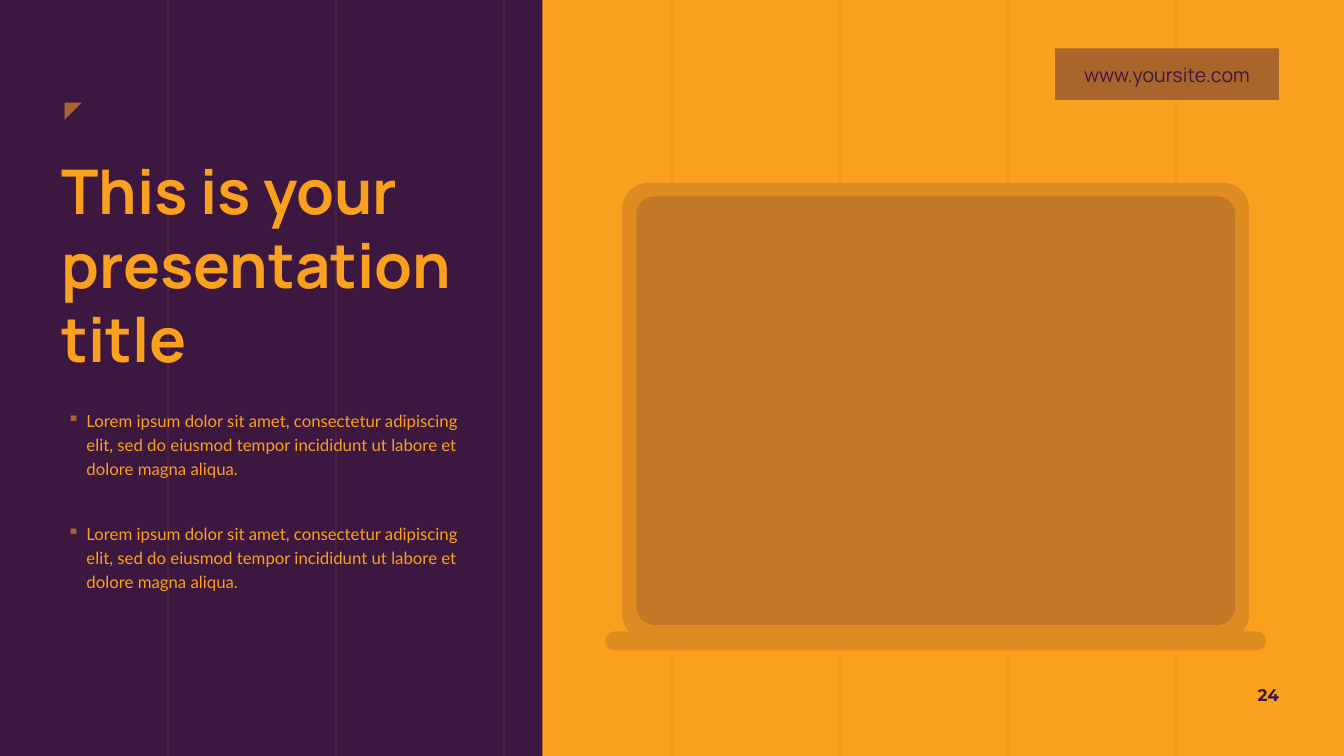
"""Build the laptop mockup slide with a title, two bullets and a site label."""
import pptx
import pptx.dml.color
import pptx.enum.shapes
import pptx.enum.text
import pptx.oxml
import pptx.oxml.ns
import pptx.util
from lxml import etree

Cm, Pt = pptx.util.Cm, pptx.util.Pt
RGBColor = pptx.dml.color.RGBColor
SHAPE = pptx.enum.shapes.MSO_SHAPE
ALIGN = pptx.enum.text.PP_ALIGN
MIDDLE = pptx.enum.text.MSO_ANCHOR.MIDDLE
qn = pptx.oxml.ns.qn

PURPLE = RGBColor(0x3C, 0x17, 0x40)
ORANGE = RGBColor(0xF9, 0xA0, 0x1E)
AMBER = RGBColor(0xDE, 0x8C, 0x22)
COPPER = RGBColor(0xC3, 0x78, 0x27)
BROWN = RGBColor(0xA8, 0x65, 0x2C)

LOREM = ("Lorem ipsum dolor sit amet, consectetur adipiscing elit, sed do eiusmod "
         "tempor incididunt ut labore et dolore magna aliqua.")
WIDTH, HEIGHT = 33.87, 19.05
COLUMNS = 8

deck = pptx.Presentation()
deck.slide_width, deck.slide_height = Cm(WIDTH), Cm(HEIGHT)
slide = deck.slides.add_slide(deck.slide_layouts[6])
slide.background.fill.solid()
slide.background.fill.fore_color.rgb = PURPLE


def add_block(kind, box, color, corner=None):
    block = slide.shapes.add_shape(kind, *map(Cm, box))
    block.shadow.inherit = False
    block.fill.solid()
    block.fill.fore_color.rgb = color
    block.line.fill.background()
    if corner is not None:
        block.adjustments[0] = corner
    return block


def write(holder, texts, font, size, color, bold=False, **layout):
    frame = holder.text_frame
    frame.word_wrap = True
    for name, value in layout.items():
        setattr(frame, name, value)
    for index, text in enumerate(texts):
        paragraph = frame.paragraphs[0] if index == 0 else frame.add_paragraph()
        run = paragraph.add_run()
        run.text = text
        looks = {"name": font, "size": Pt(size), "bold": bold}
        for name, value in looks.items():
            setattr(run.font, name, value)
        run.font.color.rgb = color
    return frame.paragraphs


add_block(SHAPE.RECTANGLE, (13.67, 0, WIDTH - 13.67, HEIGHT), ORANGE)

for column in range(1, COLUMNS):
    x = Cm(WIDTH / COLUMNS * column)
    guide = slide.shapes.add_connector(
        pptx.enum.shapes.MSO_CONNECTOR.STRAIGHT, x, 0, x, Cm(HEIGHT))
    guide.line.width = Pt(1.5)
    guide.line.color.rgb = COPPER
    properties = guide._element.spPr
    tint = properties.find(".//" + qn("a:srgbClr"))
    etree.SubElement(tint, qn("a:alpha"), val="10000")
    etree.SubElement(properties, qn("a:effectLst"))

page_number = slide.shapes.add_textbox(Cm(31.34), Cm(16.99), Cm(1.14), Cm(1.02))
write(page_number, ["24"], "Montserrat", 12, PURPLE, True,
      vertical_anchor=MIDDLE)[0].alignment = ALIGN.RIGHT

corner_mark = add_block(SHAPE.RIGHT_TRIANGLE, (1.63, 2.59, 0.43, 0.43), BROWN)
corner_mark.rotation = 90

laptop = [
    ((15.68, 4.61, 15.8, 11.51), AMBER, 0.056),
    ((16.04, 4.95, 15.09, 10.8), COPPER, 0.042),
    ((15.25, 15.91, 16.66, 0.48), AMBER, 0.5),
]
for box, color, corner in laptop:
    add_block(SHAPE.ROUNDED_RECTANGLE, box, color, corner)

site = add_block(SHAPE.RECTANGLE, (26.59, 1.22, 5.64, 1.3), BROWN)
write(site, ["www.yoursite.com"], "Manrope", 14, PURPLE,
      vertical_anchor=MIDDLE)[0].alignment = ALIGN.CENTER

points = slide.shapes.add_textbox(Cm(1.7), Cm(10.24), Cm(10.21), Cm(4.7))
bullets = write(points, [LOREM, LOREM], "Lato", 12, ORANGE,
                margin_left=0, margin_top=0, margin_right=0, margin_bottom=0)
for bullet in bullets:
    bullet.line_spacing = 1.2
    settings = bullet._p.get_or_add_pPr()
    settings.set("marL", str(Cm(0.48)))
    settings.set("indent", str(-Cm(0.48)))
    bullet_color = etree.SubElement(settings, qn("a:buClr"))
    etree.SubElement(bullet_color, qn("a:srgbClr"), val=str(BROWN))
    etree.SubElement(settings, qn("a:buChar"), char="▪")
bullets[1].space_before = Pt(29)

title = slide.shapes.add_textbox(Cm(1.3), Cm(3.73), Cm(11.3), Cm(5.89))
write(title, ["This is your presentation", "title"], "Manrope", 44, ORANGE, True)

deck.save("out.pptx")
